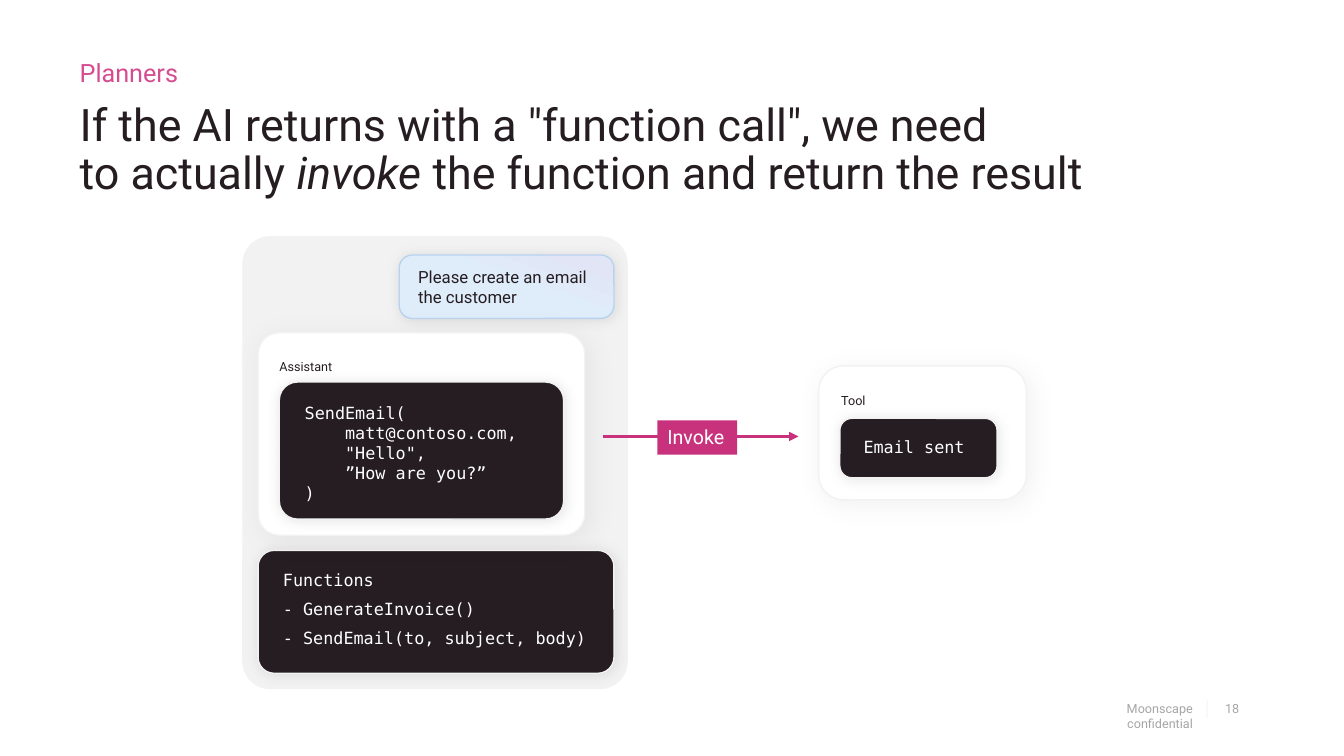
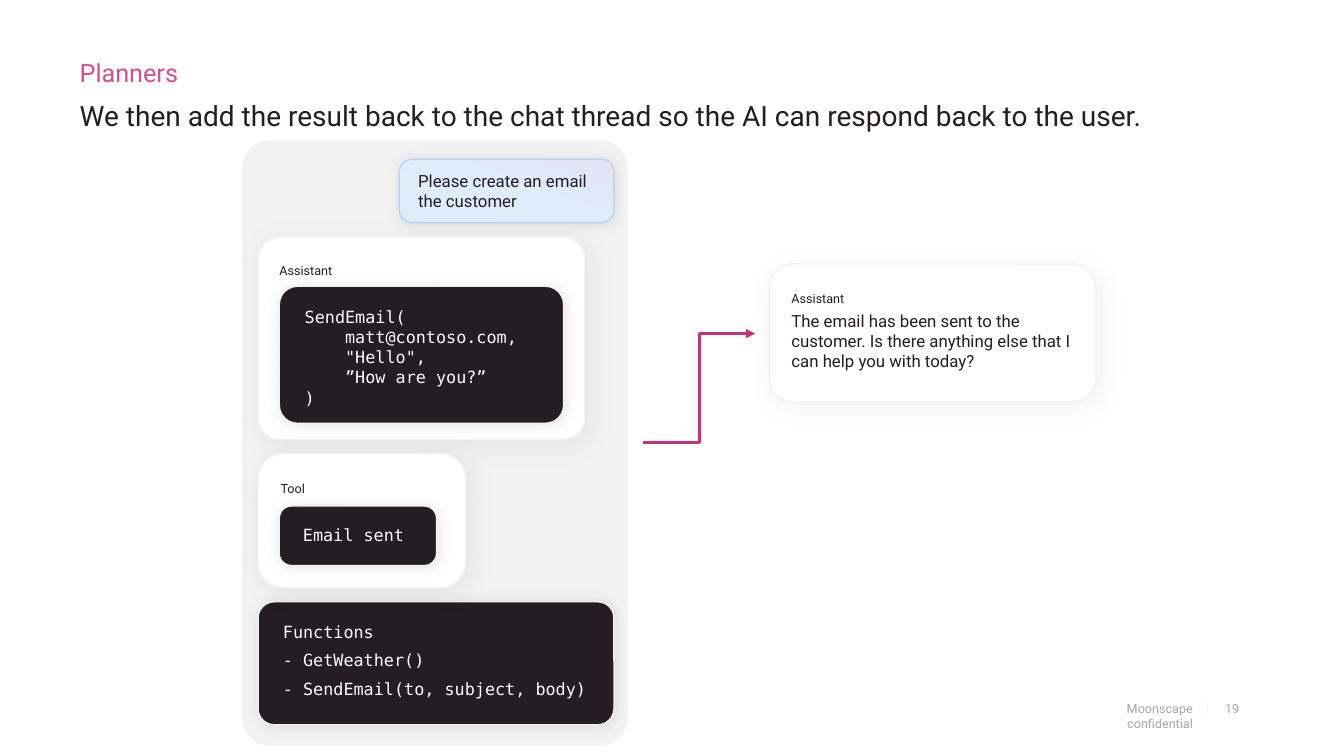
import copy

import pptx
import pptx.dml.color
import pptx.enum.shapes
import pptx.enum.text
import pptx.oxml
import pptx.oxml.ns
import pptx.util

EMU_PER_PX = 9144  # 100 px to the inch
SANS, MONO = "Roboto", "DejaVu Sans Mono"
INK, WHITE, PALE, GREY = "251D21", "FFFFFF", "F2F2F2", "A6A6A6"
PINK, MAGENTA, SKY = "D54D91", "C8327D", "B9D3EE"
TIGHT_SHADOW = dict(alpha=10, blur=10, distance=1)
SOFT_SHADOW = dict(alpha=5, blur=20, distance=4)
TOP = pptx.enum.text.MSO_ANCHOR.TOP
MIDDLE = pptx.enum.text.MSO_ANCHOR.MIDDLE
BOTTOM = pptx.enum.text.MSO_ANCHOR.BOTTOM
LEFT = pptx.enum.text.PP_ALIGN.LEFT
RIGHT = pptx.enum.text.PP_ALIGN.RIGHT
SHAPES = pptx.enum.shapes.MSO_SHAPE
CONNECTORS = pptx.enum.shapes.MSO_CONNECTOR


def px(*lengths):
    return [pptx.util.Emu(length * EMU_PER_PX) for length in lengths]


def rgb(hex_string):
    return pptx.dml.color.RGBColor.from_string(hex_string)


def add_xml(parent, tag, **attributes):
    child = pptx.oxml.parse_xml(f"<a:{tag} {pptx.oxml.ns.nsdecls('a')}/>")
    for key, value in attributes.items():
        child.set(key, str(value))
    parent.append(child)
    return child


def write(frame, *paragraphs, size=12, font=SANS, color=INK, italic=(), anchor=TOP,
          align=LEFT, insets=(0, 0, 0, 0), before=0, after=0, spacing=None, wrap=True):
    """Fill a text frame; a paragraph is a string or a list of runs, a newline breaks a line."""
    frame.word_wrap = wrap
    frame.vertical_anchor = anchor
    (frame.margin_left, frame.margin_top,
     frame.margin_right, frame.margin_bottom) = px(*insets)
    for index, content in enumerate(paragraphs):
        paragraph = frame.add_paragraph() if index else frame.paragraphs[0]
        paragraph.alignment = align
        paragraph.space_before = pptx.util.Pt(before if index else 0)
        paragraph.space_after = pptx.util.Pt(after)
        paragraph.line_spacing = spacing
        # A (text, size) pair overrides the size of its paragraph.
        content, points = content if isinstance(content, tuple) else (content, size)
        for words in [content] if isinstance(content, str) else content:
            for number, line in enumerate(words.split("\n")):
                if number:
                    paragraph.add_line_break()
                run = paragraph.add_run()
                run.text = line
                run.font.size = pptx.util.Pt(points)
                run.font.name = font
                run.font.color.rgb = rgb(color)
                run.font.italic = words in italic
                if number:  # a break is as tall as the run after it
                    run._r.getprevious().append(copy.deepcopy(run._r.rPr))


class Deck:
    """Holds the shared style and the slide being built."""

    def __init__(self):
        self.presentation = pptx.Presentation()
        self.presentation.slide_width, self.presentation.slide_height = px(1333, 750)
        self.slide = None

    def new_slide(self, title, number, top, height, size, italic=()):
        self.slide = self.presentation.slides.add_slide(self.presentation.slide_layouts[5])
        heading = self.slide.shapes.title
        heading.left, heading.top, heading.width, heading.height = px(79, top, 1150, height)
        write(heading.text_frame, title, size=size, italic=italic, anchor=BOTTOM, spacing=0.9)
        self.text(79, 57, 1150, 30, "Planners", size=18, color=PINK, anchor=BOTTOM, after=12)
        confidential = self.box(1069, 695, 129, 17, outline=None)
        self.gradient(confidential, 0, (0.99, PALE, 0), (1, PALE, 100))
        write(confidential.text_frame, "Moonscape confidential", size=9, color=GREY,
              align=RIGHT, insets=(0, 0, 15, 0))
        self.text(1195, 695, 41, 17, str(number), size=9, color=GREY, insets=(20, 0, 0, 0))

    def text(self, left, top, width, height, *paragraphs, **style):
        frame = self.slide.shapes.add_textbox(*px(left, top, width, height)).text_frame
        write(frame, *paragraphs, **style)

    def box(self, left, top, width, height, fill=WHITE, outline=PALE, radius=0, shadow=None):
        kind = SHAPES.ROUNDED_RECTANGLE if radius else SHAPES.RECTANGLE
        shape = self.slide.shapes.add_shape(kind, *px(left, top, width, height))
        if radius:
            shape.adjustments[0] = radius / min(width, height)
        shape.fill.solid()
        shape.fill.fore_color.rgb = rgb(fill)
        if outline:
            shape.line.color.rgb = rgb(outline)
            shape.line.width = pptx.util.Pt(1)
        else:
            shape.line.fill.background()
        shape.shadow.inherit = False
        if shadow:
            self.cast(shape, **shadow)
        return shape

    @staticmethod
    def cast(shape, alpha, blur, distance):
        """Give a shape a black shadow falling to the lower right."""
        effects = shape._element.spPr.find(pptx.oxml.ns.qn("a:effectLst"))
        outer = add_xml(effects, "outerShdw", blurRad=pptx.util.Pt(blur),
                        dist=pptx.util.Pt(distance), dir=45 * 60000, rotWithShape=0)
        add_xml(add_xml(outer, "srgbClr", val="000000"), "alpha", val=alpha * 1000)

    @staticmethod
    def gradient(shape, clockwise_angle, *stops):
        """Fill with two stops, each given as position, colour and opacity in percent."""
        shape.fill.gradient()
        shape.fill.gradient_angle = -clockwise_angle % 360
        for stop, (position, color, opacity) in zip(shape.fill.gradient_stops, stops):
            stop.position = position
            stop.color.rgb = rgb(color)
            if opacity < 100:
                color_xml = stop._gs.find(pptx.oxml.ns.qn("a:srgbClr"))
                add_xml(color_xml, "alpha", val=opacity * 1000)

    def card(self, left, top, width, height, radius, *paragraphs):
        card = self.box(left, top, width, height, radius=radius, shadow=SOFT_SHADOW)
        write(card.text_frame, *paragraphs, size=9, after=3, insets=(15, 20, 15, 0))

    def code(self, left, top, width, height, radius, *paragraphs):
        panel = self.box(left, top, width, height, fill=INK, radius=radius, shadow=TIGHT_SHADOW)
        write(panel.text_frame, *paragraphs, font=MONO, color=WHITE, before=6,
              insets=(20, 15, 20, 15))

    def bubble(self, left, top, width, height, words):
        bubble = self.box(left, top, width, height, outline=SKY, radius=13, shadow=TIGHT_SHADOW)
        self.gradient(bubble, 110, (0.1, "E1E5F5", 100), (0.49, "DFEDFB", 100))
        write(bubble.text_frame, words, anchor=MIDDLE, insets=(15, 5, 15, 5))

    def arrow(self, kind, *ends):
        arrow = self.slide.shapes.add_connector(kind, *px(*ends))
        arrow.line.color.rgb = rgb(MAGENTA)
        arrow.line.width = pptx.util.Pt(2.25)
        add_xml(arrow.line._get_or_add_ln(), "tailEnd", type="triangle")
        add_xml(arrow._element.spPr, "effectLst")
        return arrow

    def chat_thread(self, top, height, functions_top, other_function):
        """Draw the grey thread with the request, the function call and the function list."""
        self.box(241, top, 381, height, fill=PALE, radius=27)
        self.code(256, functions_top, 353, 122, 16,
                  "Functions", f"- {other_function}()", "- SendEmail(to, subject, body)")
        self.bubble(396, top + 18, 213, 63, "Please create an email the customer")
        self.card(256, top + 95, 324, 201, 21, "Assistant")
        self.code(277, top + 144, 282, 136, 18,
                  'SendEmail(\n    matt@contoso.com,\n    "Hello",\n    ”How are you?”\n)')

    def tool_result(self, left, top):
        self.card(left, top, 206, 133, 25, "Tool")
        self.code(left + 21, top + 52, 156, 59, 12, "Email sent")

    def labelled_arrow(self, label, start, end, y):
        arrow = self.arrow(CONNECTORS.STRAIGHT, start, y, end, y)
        tag = self.box(652, y - 16, 79, 34, fill=MAGENTA, outline=None)
        write(tag.text_frame, label, size=14, color=WHITE, insets=(10, 5, 10, 5), wrap=False)
        self.slide.shapes.add_group_shape([arrow, tag])


def main():
    deck = Deck()

    deck.new_slide(['If the AI returns with a "function call", we need\nto actually ',
                    "invoke", " the function and return the result"],
                   number=18, top=101, height=97, size=32, italic=("invoke",))
    deck.chat_thread(235, 448, functions_top=546, other_function="GenerateInvoice")
    deck.tool_result(812, 363)
    deck.labelled_arrow("Invoke", 598, 792, y=433)

    deck.new_slide("We then add the result back to the chat thread so the AI can respond "
                   "back to the user.", number=19, top=102, height=30, size=20)
    deck.chat_thread(140, 599, functions_top=597, other_function="GetWeather")
    deck.tool_result(256, 450)
    deck.card(763, 262, 324, 137, 24, "Assistant",
              ("The email has been sent to the customer. Is there anything else that I "
               "can help you with today?", 12))
    deck.arrow(CONNECTORS.ELBOW, 638, 439, 749, 331)

    deck.presentation.save("out.pptx")


if __name__ == "__main__":
    main()
